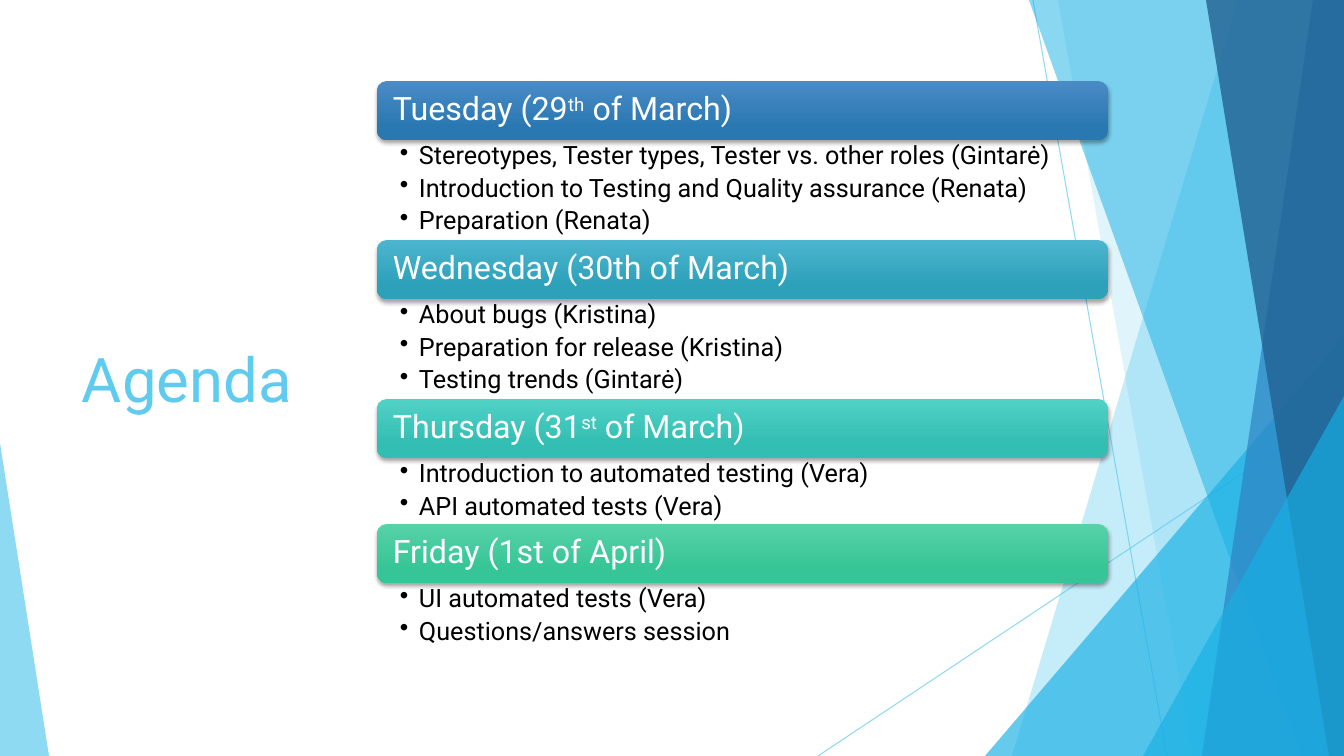
from lxml import etree
from pptx import Presentation
from pptx.dml.color import RGBColor
from pptx.enum.shapes import MSO_CONNECTOR, MSO_SHAPE
from pptx.enum.text import MSO_ANCHOR, PP_ALIGN
from pptx.oxml.ns import qn
from pptx.util import Emu, Pt

STRAIGHT = MSO_CONNECTOR.STRAIGHT
TRIANGLE = MSO_SHAPE.ISOSCELES_TRIANGLE
ROUNDED = MSO_SHAPE.ROUNDED_RECTANGLE
MIDDLE = MSO_ANCHOR.MIDDLE
TOP = MSO_ANCHOR.TOP
LEFT = PP_ALIGN.LEFT

EMU_PER_PIXEL = 914400 / 100.8
SLIDE_WIDTH, SLIDE_HEIGHT = 1344, 756
FONT = "Roboto"
SKY, AZURE, BLUE, NAVY = "5FCBEF", "17B0E4", "2E83C3", "226292"
WHITE, BLACK = "FFFFFF", "000000"

AGENDA_LEFT, AGENDA_TOP, AGENDA_WIDTH = 377, 81, 731
BAR_HEIGHT, TOPIC_HEIGHT = 59, 34
DAYS = [
    (("Tuesday (29", "th", " of March)"), "4A8BC6", "2A78B2", (
        "Stereotypes, Tester types, Tester vs. other roles (Gintarė)",
        "Introduction to Testing and Quality assurance (Renata)",
        "Preparation (Renata)")),
    (("Wednesday (30th of March)",), "4CB4CE", "2DA1BA", (
        "About bugs (Kristina)",
        "Preparation for release (Kristina)",
        "Testing trends (Gintarė)")),
    (("Thursday (31", "st", " of March)"), "50D1C6", "33BEB3", (
        "Introduction to automated testing (Vera)",
        "API automated tests (Vera)")),
    (("Friday (1st of April)",), "56D2A7", "36C596", (
        "UI automated tests (Vera)",
        "Questions/answers session")),
]


def px(pixels):
    """Turn pixels into EMU."""
    return Emu(round(pixels * EMU_PER_PIXEL))


def color(hex_string):
    """Turn a hex string into a colour."""
    return RGBColor.from_string(hex_string)


def set_alpha(element, percent):
    """Set the opacity of the first solid colour inside an element."""
    solid = next(element.iter(qn("a:srgbClr")))
    etree.SubElement(solid, qn("a:alpha")).set("val", str(percent * 1000))


def fill_facet(shape, hex_string, percent):
    """Give a background facet a translucent fill and no outline."""
    shape.shadow.inherit = False
    shape.fill.solid()
    shape.fill.fore_color.rgb = color(hex_string)
    set_alpha(shape._element.spPr, percent)
    shape.line.fill.background()


def add_ray(slide, start, end):
    """Add a thin translucent line."""
    ray = slide.shapes.add_connector(STRAIGHT, *map(px, start + end))
    ray.line.width = Pt(0.75)
    ray.line.color.rgb = color(SKY)
    properties = ray._element.spPr
    set_alpha(properties, 70)
    etree.SubElement(properties, qn("a:effectLst"))


def add_band(slide, top_x, bottom_x, hex_string, percent):
    """Add a full-height band from a slanted edge to the right side."""
    builder = slide.shapes.build_freeform(top_x, 0, scale=EMU_PER_PIXEL)
    corners = [(SLIDE_WIDTH, 0), (SLIDE_WIDTH, SLIDE_HEIGHT), (bottom_x, SLIDE_HEIGHT)]
    builder.add_line_segments(corners, close=True)
    fill_facet(builder.convert_to_shape(), hex_string, percent)


def add_corner(slide, left, top, width, apex, hex_string, percent):
    """Add a right triangle standing on the bottom edge."""
    box = map(px, (left, top, width, SLIDE_HEIGHT - top))
    triangle = slide.shapes.add_shape(TRIANGLE, *box)
    triangle.adjustments[0] = apex
    fill_facet(triangle, hex_string, percent)


def add_background(slide):
    """Add the faceted decoration from back to front."""
    add_ray(slide, (1033, 0), (1167, SLIDE_HEIGHT))
    add_ray(slide, (SLIDE_WIDTH, 406), (818, SLIDE_HEIGHT))
    add_band(slide, 1238, 1012, SKY, 36)
    add_band(slide, 1058, 1193, SKY, 20)
    add_corner(slide, 985, 336, 359, 1, AZURE, 66)
    add_band(slide, 1029, 1301, AZURE, 50)
    add_band(slide, 1313, 1202, BLUE, 70)
    add_band(slide, 1206, 1329, NAVY, 80)
    add_corner(slide, 1143, 396, 201, 1, AZURE, 66)
    add_corner(slide, 0, 443, 49, 0, SKY, 70)


def set_frame(frame, anchor, margins):
    """Set wrapping, anchor and left, top, right and bottom margins."""
    frame.word_wrap = True
    frame.vertical_anchor = anchor
    (frame.margin_left, frame.margin_top,
     frame.margin_right, frame.margin_bottom) = map(px, margins)


def format_runs(paragraph, size, hex_string):
    """Align a paragraph left and set the font of its runs."""
    paragraph.alignment = LEFT
    for run in paragraph.runs:
        run.font.name = FONT
        run.font.size = Pt(size)
        run.font.color.rgb = color(hex_string)


def add_title(slide, text):
    """Add the slide title."""
    frame = slide.shapes.add_textbox(*map(px, (72, 152, 273, 452))).text_frame
    frame.text = text
    set_frame(frame, MIDDLE, (10, 5, 10, 5))
    format_runs(frame.paragraphs[0], 44, SKY)


def add_bar_shadow(bar):
    """Add a soft shadow below a day bar."""
    bar.shadow.inherit = False
    effects = bar._element.spPr.find(qn("a:effectLst"))
    shadow = etree.SubElement(effects, qn("a:outerShdw"), blurRad=str(Pt(3)),
                              dist=str(Pt(2)), dir="5400000", rotWithShape="0")
    etree.SubElement(shadow, qn("a:srgbClr"), val=BLACK)
    set_alpha(shadow, 35)


def add_day_bar(slide, top, pieces, light, dark):
    """Add a gradient day bar; every second text piece is superscript."""
    box = map(px, (AGENDA_LEFT, top, AGENDA_WIDTH, BAR_HEIGHT))
    bar = slide.shapes.add_shape(ROUNDED, *box)
    bar.line.fill.background()
    bar.fill.gradient()
    bar.fill.gradient_angle = 270
    for stop, position, shade in zip(bar.fill.gradient_stops, (0, 0.78), (light, dark)):
        stop.position = position
        stop.color.rgb = color(shade)
    add_bar_shadow(bar)
    set_frame(bar.text_frame, MIDDLE, (13, 10, 13, 10))
    paragraph = bar.text_frame.paragraphs[0]
    paragraph.line_spacing = 0.9
    for index, piece in enumerate(pieces):
        run = paragraph.add_run()
        run.text = piece
        if index % 2:
            run.font._element.set("baseline", "30000")
    format_runs(paragraph, 23, WHITE)


def add_topics(slide, top, height, topics):
    """Add the bulleted topics of a day."""
    box = map(px, (AGENDA_LEFT, top, AGENDA_WIDTH, height))
    frame = slide.shapes.add_textbox(*box).text_frame
    frame.text = "\n".join(topics)
    set_frame(frame, TOP, (23, 3, 18, 3))
    for paragraph in frame.paragraphs:
        paragraph.level = 1
        paragraph.line_spacing = 0.9
        paragraph.space_after = Pt(3.8)
        format_runs(paragraph, 18, BLACK)
        properties = paragraph._p.get_or_add_pPr()
        properties.set("marL", str(px(19)))
        properties.set("indent", str(px(-19)))
        etree.SubElement(properties, qn("a:buChar"), char="•")


def main():
    """Build and save the agenda slide."""
    presentation = Presentation()
    presentation.slide_width = px(SLIDE_WIDTH)
    presentation.slide_height = px(SLIDE_HEIGHT)
    slide = presentation.slides.add_slide(presentation.slide_layouts[6])
    add_background(slide)
    add_title(slide, "Agenda")
    top = AGENDA_TOP
    for pieces, light, dark, topics in DAYS:
        add_day_bar(slide, top, pieces, light, dark)
        top += BAR_HEIGHT
        height = TOPIC_HEIGHT * len(topics) - 2
        add_topics(slide, top, height, topics)
        top += height
    presentation.save("out.pptx")


main()
